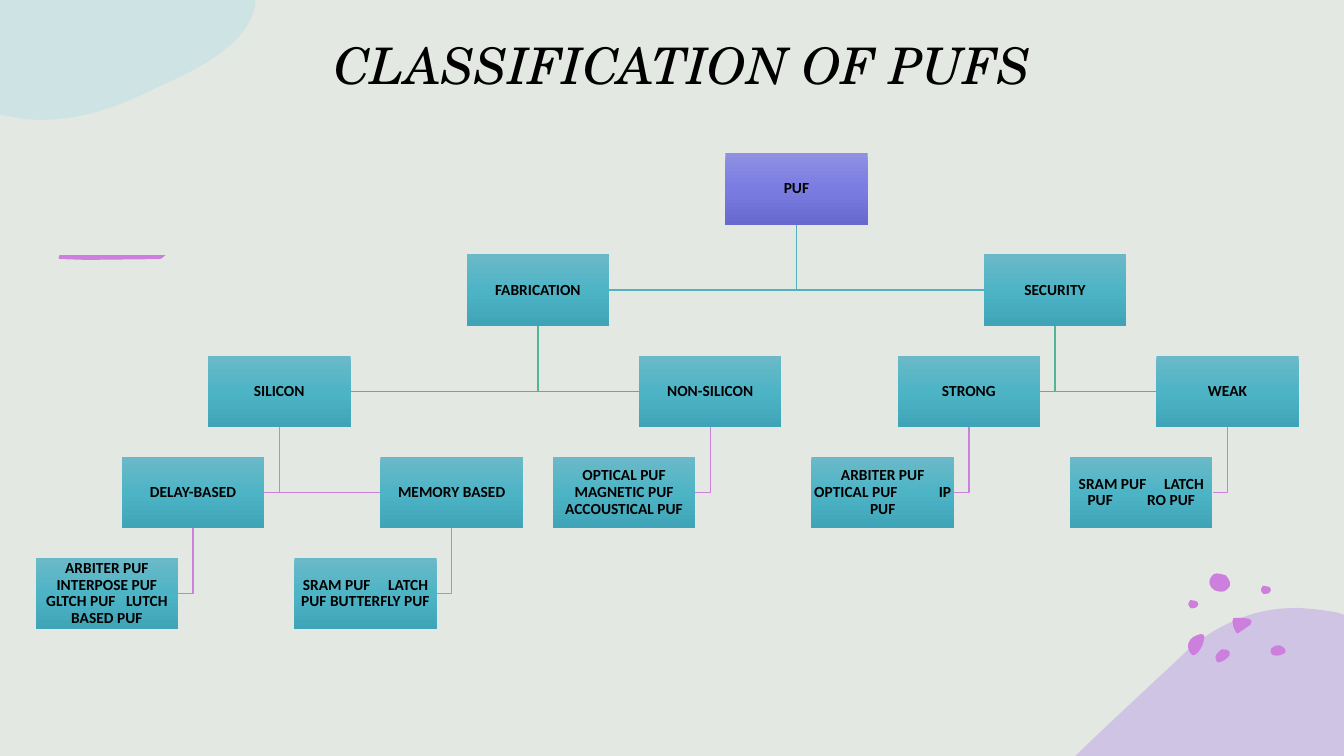
import copy
import lxml.etree
import pptx
import pptx.dml.color
import pptx.enum.shapes
import pptx.enum.text
import pptx.oxml.ns
import pptx.util

Cm = pptx.util.Cm
RGBColor = pptx.dml.color.RGBColor
qn = pptx.oxml.ns.qn

BACKGROUND = RGBColor(0xE3, 0xE8, 0xE2)
BLACK = RGBColor(0, 0, 0)
LILAC = RGBColor(0xBD, 0xA1, 0xE6)
PALE_BLUE = RGBColor(0xBA, 0xDF, 0xE6)
ORCHID = RGBColor(0xCC, 0x7F, 0xDD)
GREEN = RGBColor(0x53, 0xB4, 0x9A)
TEAL = RGBColor(0x53, 0xB0, 0xC1)
ROOT_STOPS = [RGBColor(0x8F, 0x90, 0xE2), RGBColor(0x7A, 0x7C, 0xE2), RGBColor(0x67, 0x69, 0xCE)]
NODE_STOPS = [RGBColor(0x6B, 0xB9, 0xC8), RGBColor(0x4D, 0xB4, 0xC6), RGBColor(0x3F, 0xA4, 0xB7)]
LEVEL_LINES = [TEAL, GREEN, ORCHID, ORCHID]


def write(tf, pieces, font, size, bold=False, italic=False, anchor=None, spacing=None):
    tf.word_wrap = True
    tf.vertical_anchor = anchor
    p = tf.paragraphs[0]
    p.alignment = pptx.enum.text.PP_ALIGN.CENTER
    p.line_spacing = spacing
    for piece in pieces:
        r = p.add_run()
        r.text = piece if isinstance(piece, str) else " "
        r.font.name = font
        r.font.size = pptx.util.Pt(size)
        r.font.bold = bold
        r.font.italic = italic
        r.font.color.rgb = BLACK
        if not isinstance(piece, str):
            r.font._element.set("spc", str(piece * 100))


def draw_outline(start, segments, color, alpha=None, dx=0, dy=0):
    points = [start]
    for seg in segments:
        points.extend(zip(seg[::2], seg[1::2]))
    points = [(Cm(x + dx), Cm(y + dy)) for x, y in points]
    builder = s.shapes.build_freeform(*points[0])
    builder.add_line_segments(points[1:])
    sp = builder.convert_to_shape()
    lines = list(sp._element.spPr.iter(qn("a:lnTo")))
    for seg in segments:
        group, lines = lines[:len(seg) // 2], lines[len(seg) // 2:]
        if len(group) == 3:
            curve = lxml.etree.Element(qn("a:cubicBezTo"))
            group[0].addprevious(curve)
            for line in group:
                curve.append(line[0])
                line.getparent().remove(line)
    sp.shadow.inherit = False
    sp.line.fill.background()
    sp.fill.solid()
    sp.fill.fore_color.rgb = color
    if alpha:
        clr = sp._element.spPr.find(qn("a:solidFill")).find(qn("a:srgbClr"))
        lxml.etree.SubElement(clr, qn("a:alpha")).set("val", str(alpha * 1000))


prs = pptx.Presentation()
prs.slide_width, prs.slide_height = Cm(33.87), Cm(19.05)
s = prs.slides.add_slide(prs.slide_layouts[5])
s.background.fill.solid()
s.background.fill.fore_color.rgb = BACKGROUND

title = s.shapes.title
title.left, title.top, title.width, title.height = Cm(1.42), Cm(0.16), Cm(31.57), Cm(2.34)
write(title.text_frame, ["CLASSIFICATION OF PUFS"], "TeX Gyre Schola", 36, italic=True,
      anchor=pptx.enum.text.MSO_ANCHOR.BOTTOM)

draw_outline((32.72, 15.32), [
    (33.05, 15.34, 33.38, 15.37, 33.71, 15.44), (33.87, 15.49), (33.87, 19.05), (27.1, 19.05),
    (27.13, 19.02), (27.99, 18.19, 28.88, 17.37, 29.69, 16.61),
    (30.25, 16.05, 30.84, 15.72, 31.42, 15.52), (31.85, 15.37, 32.28, 15.32, 32.72, 15.32)],
    LILAC, alpha=50)
draw_outline((0, 0), [
    (6.43, 0), (6.43, 0.15), (6.22, 1.12, 5.08, 1.7, 4.01, 2.18),
    (3.12, 2.62, 2.18, 3.02, 1.04, 3.02), (0.79, 3.02, 0.56, 3, 0.33, 2.95),
    (0, 2.9), (0, 0)], PALE_BLUE, alpha=50)
draw_outline((1.5, 6.43), [
    (4.17, 6.43), (4.09, 6.45, 4.14, 6.53, 3.99, 6.53), (2.18, 6.55), (1.55, 6.53),
    (1.45, 6.55, 1.47, 6.45, 1.5, 6.43)], ORCHID)

small_dot = ((31.78, 14.88), [
    (31.78, 14.88, 31.78, 14.78, 31.83, 14.76), (31.88, 14.76, 31.9, 14.76, 31.95, 14.78),
    (31.98, 14.78, 32.03, 14.81, 32.03, 14.86), (32.03, 14.88, 32, 14.94, 31.98, 14.94),
    (31.98, 14.94, 31.98, 14.96, 31.93, 14.96), (31.9, 14.96, 31.85, 14.99, 31.83, 14.96),
    (31.8, 14.91, 31.78, 14.91, 31.78, 14.88)])
dots = [
    small_dot,
    ((30.81, 16.36), [
        (30.86, 16.36, 30.89, 16.36, 30.94, 16.38), (30.99, 16.41, 31.01, 16.46, 30.99, 16.51),
        (30.94, 16.59, 30.78, 16.71, 30.68, 16.69), (30.66, 16.66, 30.63, 16.61, 30.63, 16.56),
        (30.63, 16.51, 30.68, 16.46, 30.73, 16.41), (30.76, 16.38, 30.78, 16.36, 30.81, 16.36)]),
    ((30.25, 15.98), [
        (30.3, 15.98, 30.35, 15.98, 30.35, 16.03), (30.35, 16.05, 30.35, 16.05, 30.35, 16.08),
        (30.33, 16.21, 30.28, 16.33, 30.2, 16.43), (30.15, 16.48, 30.07, 16.56, 30.02, 16.48),
        (29.95, 16.41, 29.92, 16.28, 29.95, 16.21), (29.97, 16.13, 30.02, 16.1, 30.07, 16.05),
        (30.1, 16.05, 30.18, 15.98, 30.25, 15.98)]),
    ((32.23, 16.26), [
        (32.28, 16.26, 32.36, 16.31, 32.39, 16.36), (32.41, 16.41, 32.41, 16.46, 32.33, 16.48),
        (32.26, 16.54, 32.05, 16.54, 32.03, 16.46), (32, 16.41, 32.03, 16.36, 32.05, 16.33),
        (32.11, 16.28, 32.16, 16.26, 32.23, 16.26)]),
    ((30.51, 14.76), [
        (30.48, 14.76, 30.45, 14.61, 30.53, 14.53), (30.58, 14.48, 30.58, 14.45, 30.66, 14.45),
        (30.73, 14.45, 30.84, 14.48, 30.89, 14.5), (30.94, 14.55, 31.04, 14.68, 30.99, 14.78),
        (30.91, 14.86, 30.89, 14.91, 30.78, 14.91), (30.71, 14.91, 30.58, 14.88, 30.56, 14.83),
        (30.51, 14.81, 30.51, 14.78, 30.51, 14.76)]),
    ((31.19, 15.57), [
        (31.34, 15.57, 31.62, 15.57, 31.52, 15.72), (31.52, 15.75, 31.5, 15.77, 31.47, 15.77),
        (31.39, 15.82, 31.32, 15.88, 31.24, 15.93), (31.22, 15.95, 31.19, 15.98, 31.17, 15.95),
        (31.17, 15.95, 31.14, 15.92, 31.14, 15.92), (31.09, 15.82, 31.06, 15.75, 31.06, 15.65),
        (31.06, 15.62, 31.06, 15.6, 31.09, 15.57), (31.12, 15.57, 31.16, 15.57, 31.19, 15.57)])]
for start, segments in dots:
    draw_outline(start, segments, ORCHID)
draw_outline(*small_dot, ORCHID, dx=-1.83, dy=0.36)

nodes = [
    ("puf", None, 0, 8, ["PUF"]),
    ("fabrication", "puf", 1, 5, ["FABRICATION"]),
    ("security", "puf", 1, 11, ["SECURITY"]),
    ("silicon", "fabrication", 2, 2, ["SILICON"]),
    ("non-silicon", "fabrication", 2, 7, ["NON-SILICON"]),
    ("strong", "security", 2, 10, ["STRONG"]),
    ("weak", "security", 2, 13, ["WEAK"]),
    ("delay", "silicon", 3, 1, ["DELAY-BASED"]),
    ("memory", "silicon", 3, 4, ["MEMORY BASED"]),
    ("non-silicon types", "non-silicon", 3, 6, ["OPTICAL PUF MAGNETIC PUF ACCOUSTICAL PUF"]),
    ("strong types", "strong", 3, 9, ["ARBITER PUF OPTICAL PUF", 27, "IP PUF"]),
    ("weak types", "weak", 3, 12, ["SRAM PUF", 10, "LATCH PUF", 22, "RO PUF"]),
    ("delay types", "delay", 4, 0, ["ARBITER PUF INTERPOSE PUF GLTCH PUF", 5, "LUTCH BASED PUF"]),
    ("memory types", "memory", 4, 3, ["SRAM PUF", 10, "LATCH PUF BUTTERFLY PUF"])]

boxes = {}
for name, parent, row, col, pieces in nodes:
    left, top = Cm(0.9 + col * 28.24 / 13), Cm(3.86 + row * 2.55)
    width, height = Cm(3.59), Cm(1.8)
    if parent:
        parent_box = boxes[parent]
        stem_x = parent_box.left + parent_box.width // 2
        foot_y = top + height // 2
        side_x = left + width if left < parent_box.left else left
        builder = s.shapes.build_freeform(stem_x, parent_box.top + parent_box.height)
        builder.add_line_segments([(stem_x, foot_y), (side_x, foot_y)], close=False)
        elbow = builder.convert_to_shape()
        elbow.shadow.inherit = False
        elbow.fill.background()
        elbow.line.color.rgb = LEVEL_LINES[row - 1]
        elbow.line.width = pptx.util.Pt(1)
    sp = s.shapes.add_shape(pptx.enum.shapes.MSO_SHAPE.RECTANGLE, left, top, width, height)
    sp.shadow.inherit = False
    sp.line.fill.background()
    sp.fill.gradient()
    sp.fill.gradient_angle = 270
    stops = sp._element.spPr.find(qn("a:gradFill")).find(qn("a:gsLst"))
    stops.insert(1, copy.deepcopy(stops[0]))
    for stop, color, position in zip(sp.fill.gradient_stops, NODE_STOPS if parent else ROOT_STOPS, (0, 0.5, 1)):
        stop.color.rgb = color
        stop.position = position
    tf = sp.text_frame
    tf.margin_left = tf.margin_right = tf.margin_top = tf.margin_bottom = Cm(0.02)
    write(tf, pieces, "Calibri", 11, bold=True, spacing=0.9,
          anchor=pptx.enum.text.MSO_ANCHOR.MIDDLE)
    boxes[name] = sp

prs.save("out.pptx")
